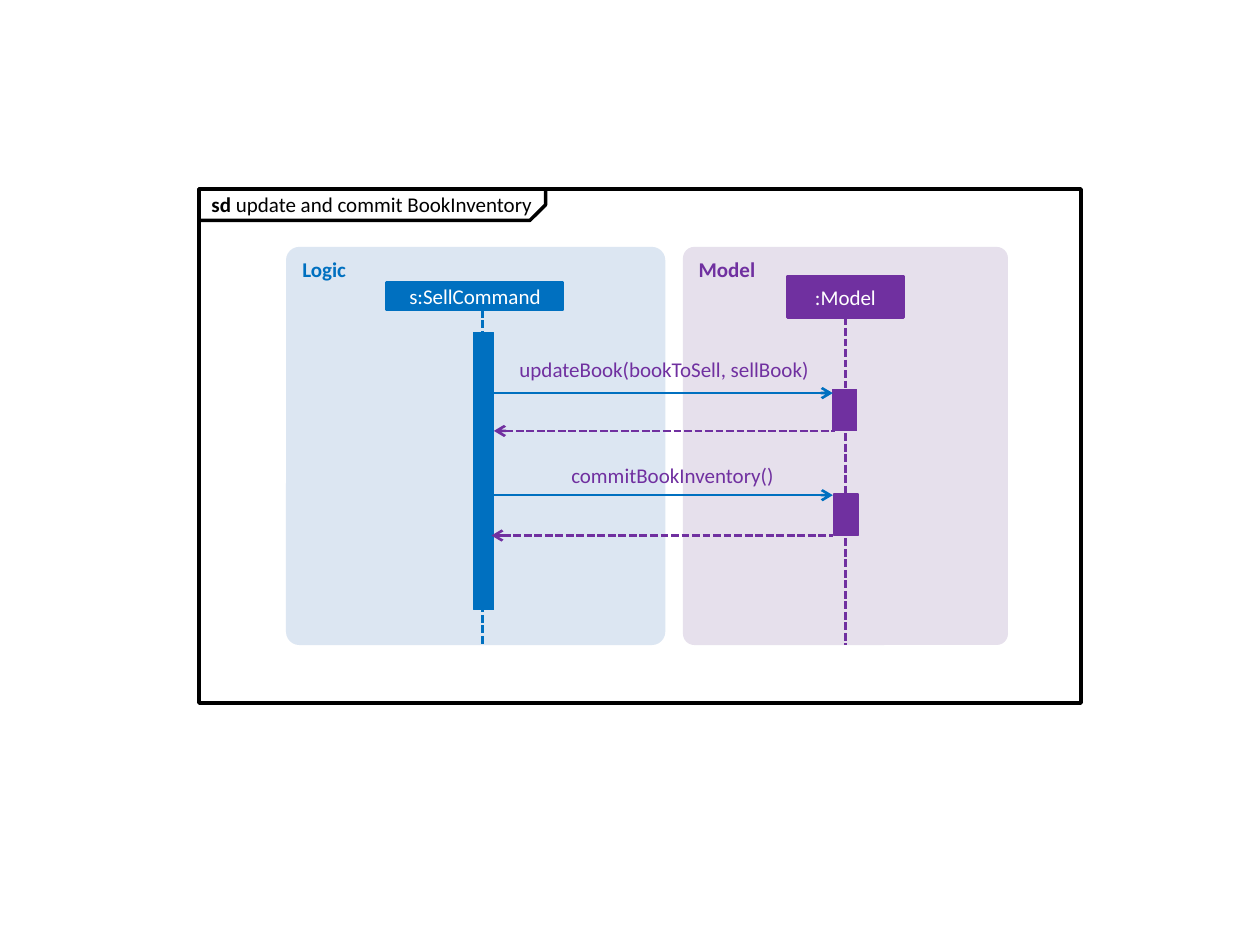
from typing import NamedTuple, Optional

from lxml import etree
from pptx import Presentation
from pptx import util as u
from pptx.dml.color import RGBColor
from pptx.enum import dml, shapes, text
from pptx.oxml.ns import qn

BLACK = RGBColor(0x00, 0x00, 0x00)
WHITE = RGBColor(0xFF, 0xFF, 0xFF)
BLUE = RGBColor(0x00, 0x70, 0xC0)
PURPLE = RGBColor(0x70, 0x30, 0xA0)
PALE_BLUE = RGBColor(0xDC, 0xE6, 0xF2)
PALE_PURPLE = RGBColor(0xE6, 0xE0, 0xEC)

RECT = shapes.MSO_SHAPE.RECTANGLE
ROUNDED = shapes.MSO_SHAPE.ROUNDED_RECTANGLE
SNIPPED = shapes.MSO_SHAPE.SNIP_1_RECTANGLE
FRAME_LEFT, FRAME_TOP = 1.58, 1.5
PANEL_TOP, PANEL_HEIGHT = 1.96, 3.16
PANEL_BOTTOM = PANEL_TOP + PANEL_HEIGHT
SELL_LINE_X = 3.83
CALL_LEFT, CALL_RIGHT = 3.92, 6.61


class Box(NamedTuple):
    left: float
    top: float
    width: float
    height: float


class Panel(NamedTuple):
    name: str
    left: float
    width: float
    fill: RGBColor
    color: RGBColor


class Participant(NamedTuple):
    name: str
    box: Box
    color: RGBColor


class Message(NamedTuple):
    y: float
    left: float
    right: float
    is_return: bool


class Label(NamedTuple):
    wording: str
    box: Box


PANELS = [
    Panel("Logic", 2.27, 3.01, PALE_BLUE, BLUE),
    Panel("Model", 5.42, 2.58, PALE_PURPLE, PURPLE),
]
SELL_COMMAND = Participant("s:SellCommand", Box(3.07, 2.24, 1.4, 0.22), BLUE)
MODEL = Participant(":Model", Box(6.25, 2.19, 0.92, 0.33), PURPLE)
ACTIVATIONS = [
    (Box(3.76, 2.64, 0.16, 2.2), BLUE),
    (Box(6.61, 3.09, 0.19, 0.33), PURPLE),
    (Box(6.62, 3.92, 0.19, 0.33), PURPLE),
]
MESSAGES = [
    Message(3.12, CALL_LEFT, CALL_RIGHT, False),
    Message(3.93, CALL_LEFT, CALL_RIGHT, False),
    Message(3.42, CALL_LEFT, 6.63, True),
    Message(4.25, 3.9, CALL_RIGHT, True),
]
LABELS = [
    Label("updateBook(bookToSell, sellBook)", Box(4.06, 2.83, 2.36, 0.2)),
    Label("commitBookInventory()", Box(4.43, 3.67, 1.71, 0.2)),
]


def inches(box: Box) -> list:
    return [u.Inches(value) for value in box]


def add_box(s, kind, box: Box, fill: Optional[RGBColor],
            line: Optional[RGBColor], weight: float = 0.75):
    sp = s.shapes.add_shape(kind, *inches(box))
    sp.shadow.inherit = False
    if fill is None:
        sp.fill.background()
    else:
        sp.fill.solid()
        sp.fill.fore_color.rgb = fill
    if line is None:
        sp.line.fill.background()
    else:
        sp.line.color.rgb = line
        sp.line.width = u.Pt(weight)
    return sp


def write(tf, wording: str, color: RGBColor, align, bold: bool = False) -> None:
    p = tf.paragraphs[0]
    p.text = wording
    p.alignment = align
    style(p.font, color, bold)


def style(font, color: RGBColor, bold: bool = False) -> None:
    font.name = "Calibri"
    font.size = u.Pt(12)
    font.bold = bold
    font.color.rgb = color


def add_panel(s, panel: Panel) -> None:
    box = Box(panel.left, PANEL_TOP, panel.width, PANEL_HEIGHT)
    sp = add_box(s, ROUNDED, box, panel.fill, None)
    sp.adjustments[0] = 0.035
    sp.text_frame.vertical_anchor = text.MSO_ANCHOR.TOP
    write(sp.text_frame, panel.name, panel.color, text.PP_ALIGN.LEFT, bold=True)


def add_participant(s, participant: Participant):
    sp = add_box(s, RECT, participant.box, participant.color, participant.color, 1.5)
    sp.text_frame.vertical_anchor = text.MSO_ANCHOR.MIDDLE
    write(sp.text_frame, participant.name, WHITE, text.PP_ALIGN.CENTER)
    return sp


def add_line(s, x1: float, y1: float, x2: float, y2: float,
             color: RGBColor, dashed: bool, arrow: Optional[str] = None):
    """Draw a line; arrow is "headEnd" (start), "tailEnd" (finish) or None."""
    line = s.shapes.add_connector(
        shapes.MSO_CONNECTOR.STRAIGHT, *[u.Inches(v) for v in (x1, y1, x2, y2)])
    line.line.color.rgb = color
    line.line.width = u.Pt(1.5)
    if dashed:
        line.line.dash_style = dml.MSO_LINE.SQUARE_DOT
    if arrow:
        etree.SubElement(line.line._get_or_add_ln(), qn("a:" + arrow), type="arrow")
    etree.SubElement(line._element.spPr, qn("a:effectLst"))
    return line


def add_message(s, message: Message) -> None:
    color = PURPLE if message.is_return else BLUE
    arrow = "headEnd" if message.is_return else "tailEnd"
    add_line(s, message.left, message.y, message.right, message.y,
             color, message.is_return, arrow)


def add_label(s, label: Label) -> None:
    tf = s.shapes.add_textbox(*inches(label.box)).text_frame
    tf.margin_left = tf.margin_top = tf.margin_right = tf.margin_bottom = 0
    tf.word_wrap = True
    tf.auto_size = text.MSO_AUTO_SIZE.SHAPE_TO_FIT_TEXT
    write(tf, label.wording, PURPLE, text.PP_ALIGN.RIGHT)


def add_frame_title(s) -> None:
    tab = add_box(s, SNIPPED, Box(FRAME_LEFT, FRAME_TOP, 2.75, 0.25), None, BLACK, 2)
    tab.adjustments[0] = 0.5
    tab._element.spPr.xfrm.set("flipV", "1")
    tf = s.shapes.add_textbox(*inches(Box(FRAME_LEFT, 1.47, 2.81, 0.3))).text_frame
    tf.word_wrap = False
    tf.auto_size = text.MSO_AUTO_SIZE.SHAPE_TO_FIT_TEXT
    p = tf.paragraphs[0]
    for wording, bold in (("sd ", True), ("update and commit BookInventory", False)):
        r = p.add_run()
        r.text = wording
        style(r.font, BLACK, bold)


def main() -> None:
    prs = Presentation()
    prs.slide_width, prs.slide_height = u.Inches(10), u.Inches(7.5)
    s = prs.slides.add_slide(prs.slide_layouts[6])

    add_box(s, RECT, Box(FRAME_LEFT, FRAME_TOP, 7, 4.08), WHITE, BLACK, 2)
    for panel in PANELS:
        add_panel(s, panel)
    add_frame_title(s)

    add_participant(s, SELL_COMMAND)
    model = add_participant(s, MODEL)
    model_x = MODEL.box.left + MODEL.box.width / 2
    model_bottom = MODEL.box.top + MODEL.box.height
    lifeline = add_line(s, model_x, model_bottom, model_x, PANEL_BOTTOM, PURPLE, True)
    lifeline.begin_connect(model, 2)
    sell_bottom = SELL_COMMAND.box.top + SELL_COMMAND.box.height
    add_line(s, SELL_LINE_X, sell_bottom, SELL_LINE_X, PANEL_BOTTOM, BLUE, True)

    for box, color in ACTIVATIONS:
        add_box(s, RECT, box, color, color)
    for message in MESSAGES:
        add_message(s, message)
    for label in LABELS:
        add_label(s, label)
    prs.save("out.pptx")


if __name__ == "__main__":
    main()
